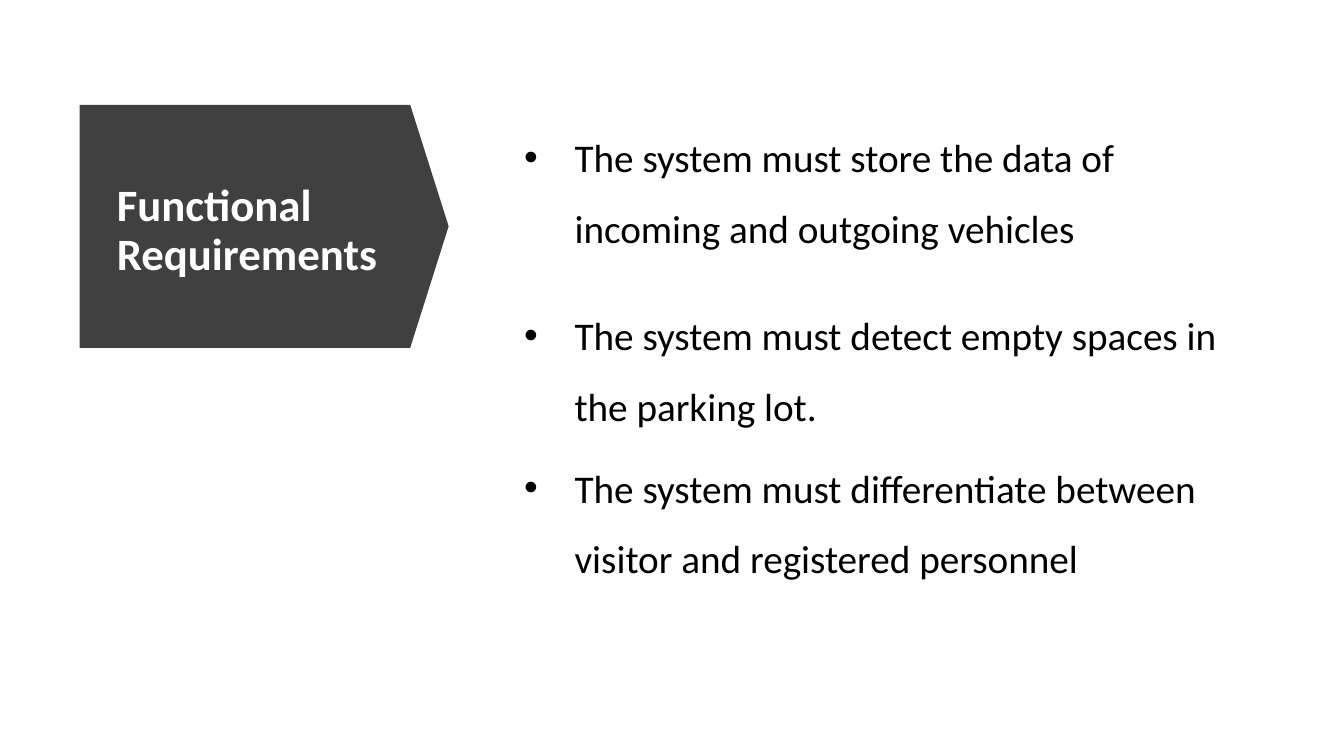
from dataclasses import dataclass

from lxml import etree
from pptx import Presentation
from pptx.dml.color import RGBColor
from pptx.enum.shapes import MSO_SHAPE
from pptx.enum.text import MSO_ANCHOR, PP_ALIGN
from pptx.oxml.ns import qn
from pptx.util import Inches, Pt

RECT, PENTAGON = MSO_SHAPE.RECTANGLE, MSO_SHAPE.PENTAGON
TOP, MIDDLE, LEFT = MSO_ANCHOR.TOP, MSO_ANCHOR.MIDDLE, PP_ALIGN.LEFT

TITLE = "Functional Requirements"
# Each need with the top and height of its panel, in inches
NEEDS = [
    ("The system must store the data of incoming and outgoing vehicles", 1.04, 1.7),
    ("The system must detect empty spaces in the parking lot.", 2.81, 1.45),
    ("The system must differentiate between visitor and registered personnel", 4.32, 2),
]


@dataclass(frozen=True)
class Theme:
    font: str = "Calibri"
    dark: RGBColor = RGBColor(0x40, 0x40, 0x40)
    white: RGBColor = RGBColor(0xFF, 0xFF, 0xFF)
    black: RGBColor = RGBColor(0, 0, 0)
    title: int = 32
    body: int = 28


THEME = Theme()
WIDTH, HEIGHT = 13.33, 7.5
PANEL_X, PANEL_W = 5.1, 7.55
TAG = (0.79, 1.04, 3.66, 2.41)
TAG_TIP = 0.158
HEAD = (1.06, 1.32, 2.92, 1.95)
INDENT = Inches(0.5)


def add_block(slide, kind, box, fill):
    block = slide.shapes.add_shape(kind, *map(Inches, box))
    block.shadow.inherit = False
    block.fill.solid()
    block.fill.fore_color.rgb = fill
    block.line.fill.background()
    return block


def write(shape, text, size, color, anchor, spacing, bold=False):
    frame = shape.text_frame
    frame.word_wrap = True
    frame.vertical_anchor = anchor
    para = frame.paragraphs[0]
    para.text = text
    para.alignment = LEFT
    para.line_spacing = spacing
    font = para.font
    font.name, font.size, font.bold = THEME.font, Pt(size), bold
    font.color.rgb = color
    return para


def add_bullet(para):
    props = para._p.get_or_add_pPr()
    props.set("marL", str(INDENT))
    props.set("indent", str(-INDENT))
    face = etree.Element(qn("a:buFont"), typeface="Arial")
    mark = etree.Element(qn("a:buChar"), char="•")
    props.find(qn("a:defRPr")).addprevious(face)
    face.addnext(mark)


def fade(shape, share):
    color = shape.fill._xPr.find(qn("a:solidFill"))[0]
    etree.SubElement(color, qn("a:alpha"), val=str(int(share * 100000)))


def main():
    deck = Presentation()
    deck.slide_width, deck.slide_height = Inches(WIDTH), Inches(HEIGHT)
    slide = deck.slides.add_slide(deck.slide_layouts[6])

    tag = add_block(slide, PENTAGON, TAG, THEME.dark)
    tag.adjustments[0] = TAG_TIP

    for text, top, tall in NEEDS:
        panel = add_block(slide, RECT, (PANEL_X, top, PANEL_W, tall), THEME.white)
        fade(panel, 0.5)
        para = write(panel, text, THEME.body, THEME.black, TOP, 1.5)
        para.space_after = Pt(6)
        add_bullet(para)

    head = slide.shapes.add_textbox(*map(Inches, HEAD))
    write(head, TITLE, THEME.title, THEME.white, MIDDLE, 0.9, bold=True)
    deck.save("out.pptx")


if __name__ == "__main__":
    main()
